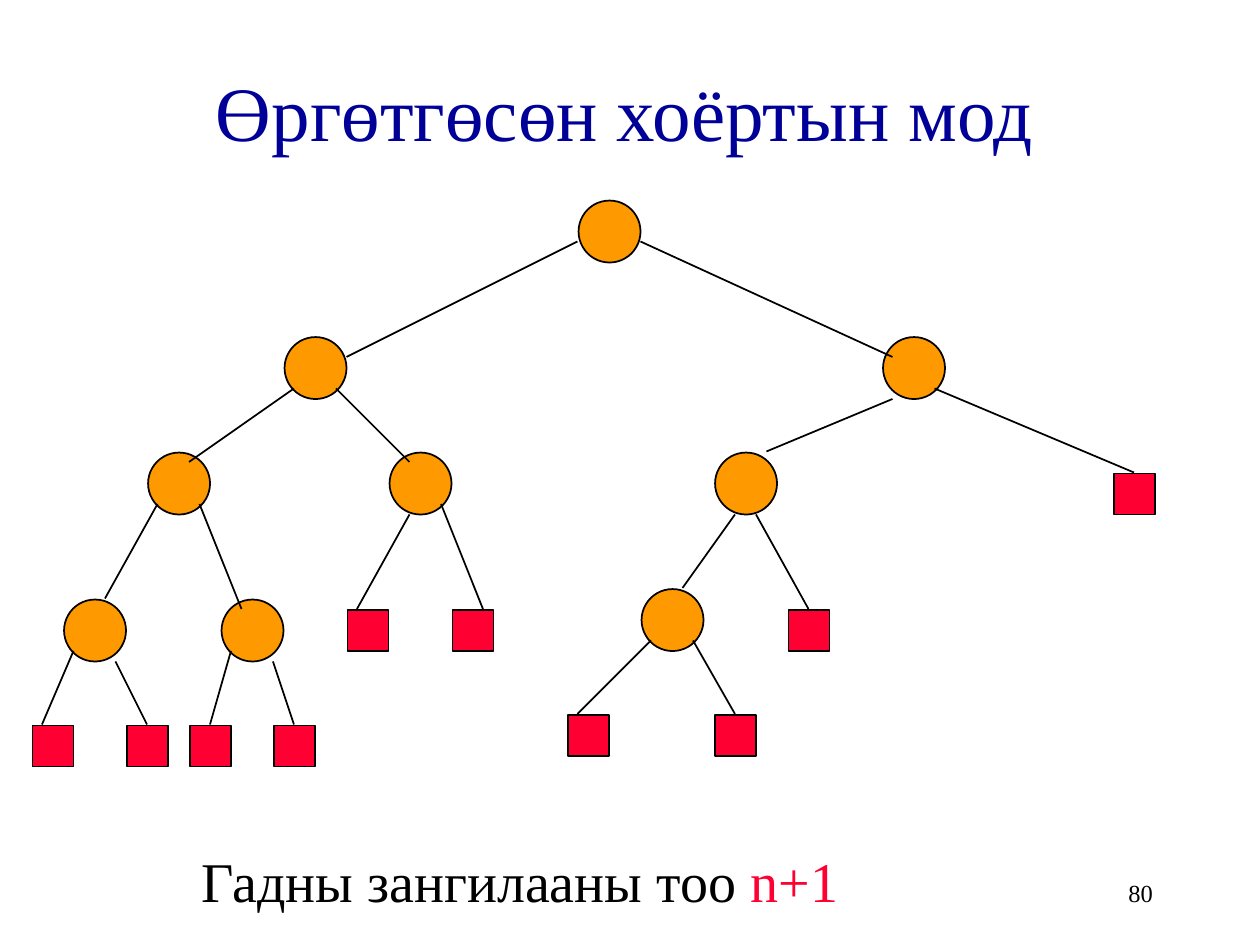
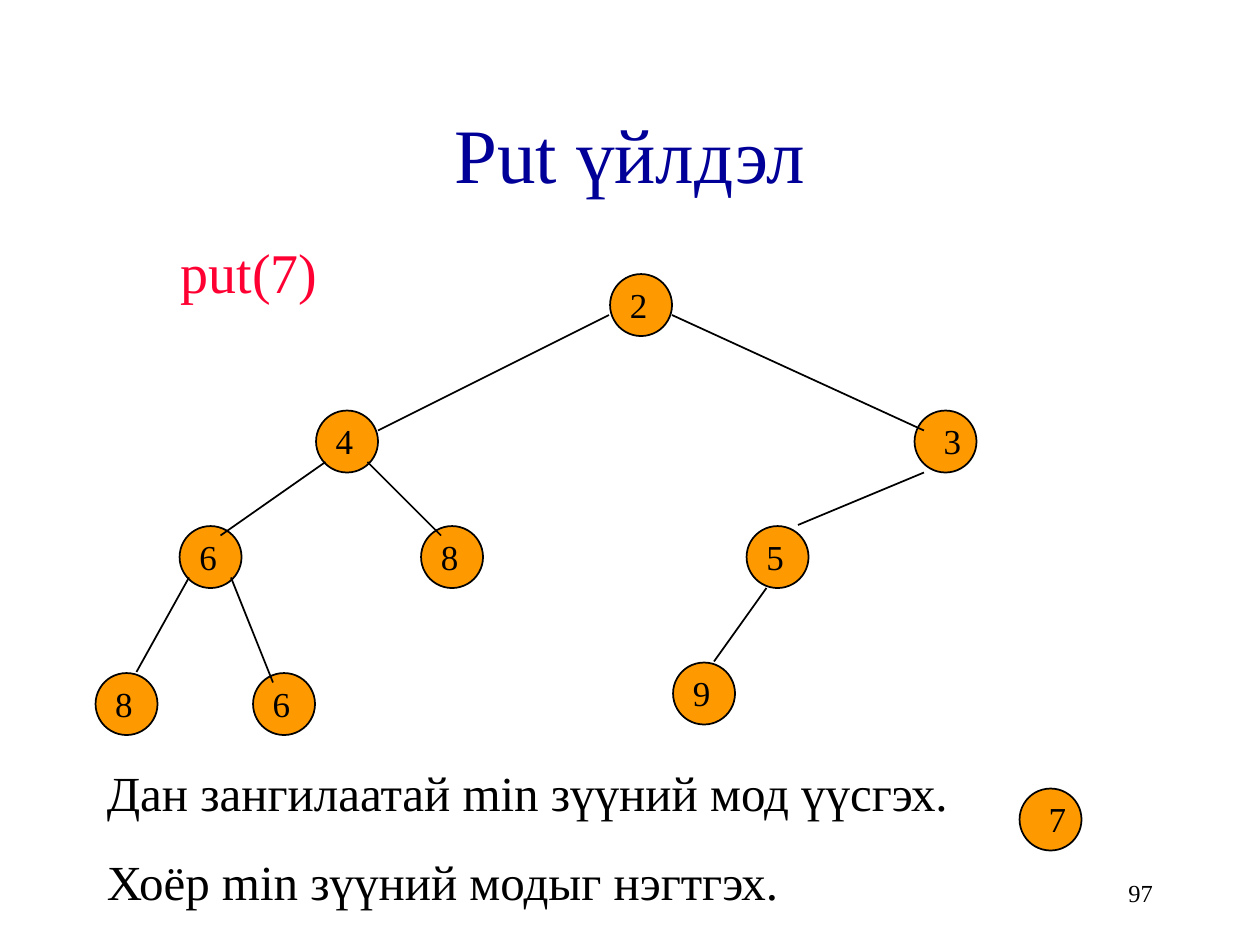
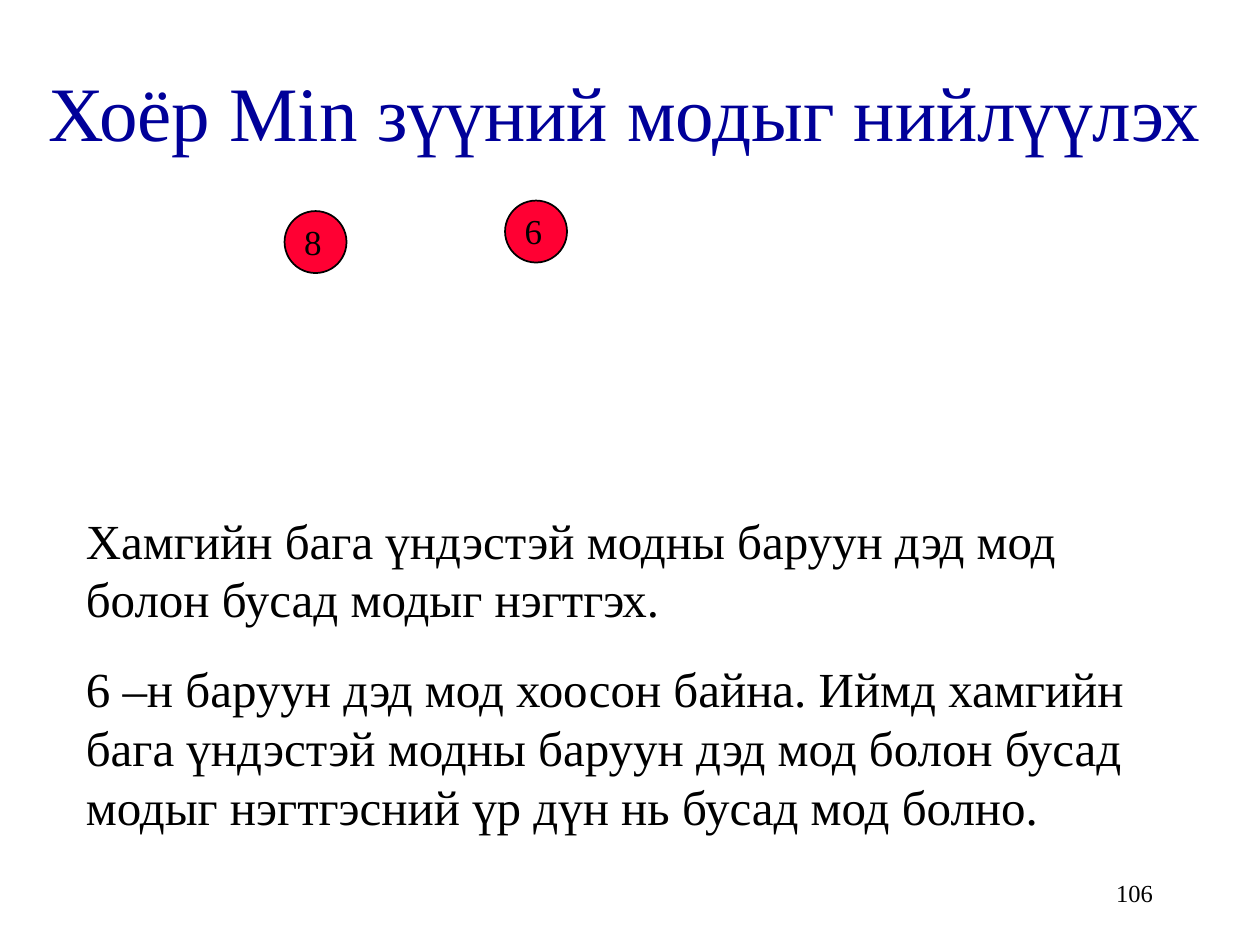
import pptx
import pptx.util
import pptx.dml.color
import pptx.enum.shapes
import pptx.enum.text
import pptx.oxml
import pptx.oxml.ns
import lxml.etree

Pt = pptx.util.Pt
SHAPES = pptx.enum.shapes.MSO_SHAPE
ALIGN = pptx.enum.text.PP_ALIGN
ANCHOR = pptx.enum.text.MSO_ANCHOR
FIT = pptx.enum.text.MSO_AUTO_SIZE

# Shared look; the grid has 120 columns and 90 rows
FONT = "Times New Roman"
BLACK, NAVY, ORANGE, RED = "000000", "000099", "FF9900", "FF0033"
WIDTH, HEIGHT = pptx.util.Inches(10), pptx.util.Inches(7.5)
CELL = WIDTH / 120
NODE_SIZE, LEAF_SIZE, INSET = 5.9, 3.9, 0.1
TOP_TITLE = (1, 3, 117, 15)
LOWER_TITLE = (9, 7, 102, 15)

# Tree: column and row of each node, and the ends of each edge
NODES = [(55, 19), (27, 32), (84, 32), (14, 43), (37, 43), (68, 43),
         (6, 57), (21, 57), (61, 56)]
EDGES = [(55, 23, 33, 34), (61, 23, 85, 34), (28, 37, 18, 44),
         (32, 37, 39, 44), (85, 38, 73, 43), (15, 48, 10, 57),
         (19, 48, 23, 58), (70, 49, 65, 56)]
LEAVES = [(33, 58), (43, 58), (75, 58), (106, 45), (3, 69), (12, 69),
          (18, 69), (26, 69), (54, 68), (68, 68)]
LEAF_EDGES = [(39, 49, 34, 58), (42, 48, 46, 58), (72, 49, 77, 58),
              (89, 37, 108, 45), (7, 62, 4, 69), (11, 63, 14, 69),
              (22, 62, 20, 69), (26, 63, 28, 69), (62, 61, 55, 68),
              (66, 61, 70, 68)]


def color(hex_text):
    return pptx.dml.color.RGBColor.from_string(hex_text)


def grid(*cells):
    return [round(cell * CELL) for cell in cells]


def format_run(span, size, hex_text):
    span.font.name = FONT
    span.font.size = Pt(size)
    span.font.color.rgb = color(hex_text)


def write(box, paragraphs, size, hex_text=BLACK, align=ALIGN.LEFT,
          anchor=ANCHOR.TOP, gap=0, wrap=True):
    frame = box.text_frame
    frame.text = "\n".join(paragraphs)
    frame.word_wrap = wrap
    frame.auto_size = FIT.NONE
    frame.vertical_anchor = anchor
    for number, para in enumerate(frame.paragraphs):
        para.alignment = align
        para.space_before = Pt(gap if number else 0)
        for span in para.runs:
            format_run(span, size, hex_text)


def place(box, area):
    box.left, box.top, box.width, box.height = grid(*area)


def add_text(page, area, paragraphs, size, **style):
    box = page.shapes.add_textbox(*grid(*area))
    write(box, paragraphs, size, **style)
    return box


def add_page(deck, layout, title, area, number):
    page = deck.slides.add_slide(deck.slide_layouts[layout])
    place(page.shapes.title, area)
    write(page.shapes.title, [title], 44, NAVY, ALIGN.CENTER, ANCHOR.MIDDLE)
    add_text(page, (86, 82, 25, 6), [number], 14,
             align=ALIGN.RIGHT, anchor=ANCHOR.MIDDLE)
    return page


def add_mark(page, kind, column, row, size, fill):
    mark = page.shapes.add_shape(
        kind, *grid(column + INSET, row + INSET, size, size))
    mark.shadow.inherit = False
    mark.fill.solid()
    mark.fill.fore_color.rgb = color(fill)
    mark.line.color.rgb = color(BLACK)
    mark.line.width = Pt(1)


def add_node(page, column, row, label="", fill=ORANGE, indent=0.8):
    add_mark(page, SHAPES.OVAL, column, row, NODE_SIZE, fill)
    if label:
        add_text(page, (column + indent, row + 0.4, 4.1, 5.2), [label], 20,
                 wrap=False)


def add_edge(page, start_column, start_row, end_column, end_row):
    edge = page.shapes.add_connector(
        pptx.enum.shapes.MSO_CONNECTOR.STRAIGHT,
        *grid(start_column, start_row, end_column, end_row))
    edge.line.color.rgb = color(BLACK)
    edge.line.width = Pt(1)
    properties = edge._element.spPr
    lxml.etree.SubElement(properties, pptx.oxml.ns.qn("a:effectLst"))


def add_tree(page, labels, right=0, down=0):
    for (column, row), label in zip(NODES, labels):
        indent = 1.7 if label == "3" else 0.8
        add_node(page, column + right, row + down, label, indent=indent)
    for x1, y1, x2, y2 in EDGES:
        add_edge(page, x1 + right, y1 + down, x2 + right, y2 + down)


def extended_tree(deck):
    page = add_page(deck, 5, "Өргөтгөсөн хоёртын мод", TOP_TITLE, "80")
    add_tree(page, [""] * len(NODES))
    for column, row in LEAVES:
        add_mark(page, SHAPES.RECTANGLE, column, row, LEAF_SIZE, RED)
    for edge in LEAF_EDGES:
        add_edge(page, *edge)
    caption = add_text(page, (18, 80, 79, 7.5), ["Гадны зангилааны тоо "], 32)
    count = caption.text_frame.paragraphs[0].add_run()
    count.text = "n+1"
    format_run(count, 32, RED)


def put_operation(deck):
    page = add_page(deck, 0, "Put үйлдэл", LOWER_TITLE, "97")
    call = page.placeholders[1]
    place(call, (16, 22, 84, 23))
    write(call, ["put(7)"], 32, RED)
    add_tree(page, "243685869", right=3, down=7)
    add_node(page, 97, 75, "7", indent=1.7)
    add_text(page, (9, 72, 100, 15.4),
             ["Дан зангилаатай min зүүний мод үүсгэх.",
              "Хоёр min зүүний модыг нэгтгэх."], 28, gap=17.5)


def meld_trees(deck):
    page = add_page(deck, 5, "Хоёр Min зүүний модыг нийлүүлэх",
                    TOP_TITLE, "106")
    add_node(page, 27, 20, "8", RED)
    add_node(page, 48, 19, "6", RED)
    add_text(page, (7, 48, 107, 32.2),
             ["Хамгийн бага үндэстэй модны баруун дэд мод болон бусад модыг "
              "нэгтгэх.",
              "6 –н баруун дэд мод хоосон байна. Иймд хамгийн бага үндэстэй "
              "модны баруун дэд мод болон бусад модыг нэгтгэсний үр дүн нь "
              "бусад мод болно."], 28, gap=17.5)


def main():
    deck = pptx.Presentation()
    deck.slide_width, deck.slide_height = WIDTH, HEIGHT
    extended_tree(deck)
    put_operation(deck)
    meld_trees(deck)
    deck.save("out.pptx")


if __name__ == "__main__":
    main()
